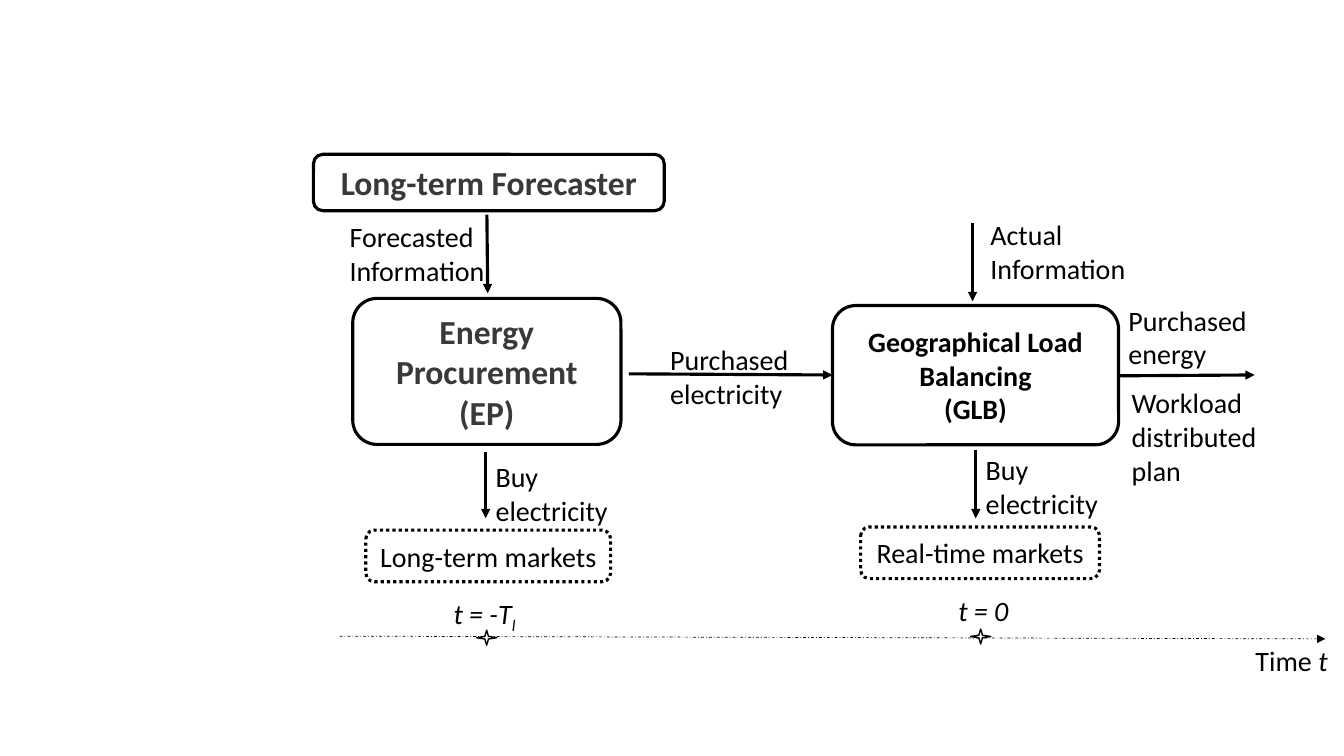
from lxml import etree
from pptx import Presentation, util as u
from pptx.dml.color import RGBColor
from pptx.enum import dml, shapes, text
from pptx.oxml.ns import qn

BLACK, GREY, WHITE = "000000", "3B3838", "FFFFFF"
DOT, DASH_DOT = dml.MSO_LINE.ROUND_DOT, dml.MSO_LINE.DASH_DOT

# Places are in centimetres: left, top, width, height
HEADING = dict(size=24, color=GREY, bold=True)
BOXES = [
    ("Energy Procurement (EP)", (8.89, 7.52, 6.76, 3.68), None, HEADING),
    ("Geographical Load Balancing\n(GLB)", (20.98, 7.7, 7.21, 3.51), None, dict(bold=True)),
    ("Long-term markets", (9.22, 13.36, 6.17, 1.3), DOT, {}),
    ("Real-time markets", (21.69, 13.28, 6.02, 1.3), DOT, {}),
    ("Long-term Forecaster", (7.9, 3.89, 8.84, 1.42), None, HEADING),
]
# Text, place, wraps
LABELS = [
    ("Purchased energy", (28.19, 7.52, 3.71, 1.96), True),
    ("Workload \ndistributed \nplan", (28.27, 9.6, 4.62, 2.82), True),
    ("Buy electricity", (12.24, 11.46, 3.35, 1.96), True),
    ("Buy electricity", (24.59, 11.28, 3.35, 1.96), True),
    ("Purchased \nelectricity", (16.64, 8.51, 3.68, 1.96), False),
    ("Actual\nInformation", (24.71, 5.36, 3.94, 1.96), False),
    ("Forecasted\nInformation", (8.56, 5.41, 3.94, 1.96), False),
]
# Runs, place: each run is its text, italic, subscript
TIMES = [
    ([("Time ", False, False), ("t", True, False)], (31.39, 16.1, 2.36, 1.12)),
    ([("t = -T", True, False), ("l ", True, True)], (11.18, 14.91, 2.26, 1.12)),
    ([("t = 0 ", True, False)], (23.9, 14.83, 1.96, 1.12)),
]
# From x, y, to x, y
FLOWS = [
    (12.24, 11.38, 12.24, 13.06),
    (24.59, 11.35, 24.59, 13.06),
    (15.85, 9.42, 20.98, 9.45),
    (28.19, 9.47, 31.62, 9.45),
    (12.27, 5.41, 12.29, 7.39),
    (24.51, 5.61, 24.51, 7.59),
]
TIME_AXIS = (8.56, 16.03, 33.4, 16.1)
MOMENTS = [(12.01, 15.88, 0.51, 0.38), (24.46, 15.85, 0.51, 0.38)]


def rgb(color):
    """Turn a hex string into a colour."""
    return RGBColor.from_string(color)


def cm(values):
    """Turn numbers into centimetre lengths."""
    return [u.Cm(v) for v in values]


def set_line(line, width, dash=None):
    """Format an outline or connector line."""
    line.color.rgb = rgb(BLACK)
    line.width = u.Pt(width)
    if dash:
        line.dash_style = dash


def add_run(p, content, size=20, color=BLACK, bold=False, italic=False, sub=False):
    """Add one formatted run to a paragraph."""
    r = p.add_run()
    r.text = content
    f = r.font
    f.name, f.size, f.bold, f.italic = "Calibri", u.Pt(size), bold, italic
    f.color.rgb = rgb(color)
    if sub:
        r._r.get_or_add_rPr().set("baseline", "-25000")


def write(tf, content, align=text.PP_ALIGN.LEFT, **fmt):
    """Write one paragraph for each line of the content."""
    for i, line in enumerate(content.split("\n")):
        p = tf.add_paragraph() if i else tf.paragraphs[0]
        p.alignment = align
        add_run(p, line, **fmt)


def add_figure(kind, place, width, fill=None, dash=None):
    """Add a preset shape with a black outline."""
    sp = s.shapes.add_shape(kind, *cm(place))
    sp.shadow.inherit = False
    if fill:
        sp.fill.solid()
        sp.fill.fore_color.rgb = rgb(fill)
    else:
        sp.fill.background()
    set_line(sp.line, width, dash)
    return sp


def add_label(place, wrap):
    """Add a text box that grows with its text and return its frame."""
    tf = s.shapes.add_textbox(*cm(place)).text_frame
    tf.word_wrap = wrap
    tf.auto_size = text.MSO_AUTO_SIZE.SHAPE_TO_FIT_TEXT
    return tf


def add_arrow(ends, width, dash=None):
    """Add a straight line with a triangle at its end."""
    c = s.shapes.add_connector(shapes.MSO_CONNECTOR.STRAIGHT, *cm(ends))
    set_line(c.line, width, dash)
    etree.SubElement(c.line._get_or_add_ln(), qn("a:tailEnd"), type="triangle")
    etree.SubElement(c._element.spPr, qn("a:effectLst"))


prs = Presentation()
prs.slide_width, prs.slide_height = cm((33.87, 19.05))
s = prs.slides.add_slide(prs.slide_layouts[6])

for content, place, dash, fmt in BOXES:
    tf = add_figure(shapes.MSO_SHAPE.ROUNDED_RECTANGLE, place, 2.25, dash=dash).text_frame
    tf.word_wrap = True
    tf.vertical_anchor = text.MSO_ANCHOR.MIDDLE
    write(tf, content, text.PP_ALIGN.CENTER, **fmt)

for content, place, wrap in LABELS:
    write(add_label(place, wrap), content)

for ends in FLOWS:
    add_arrow(ends, 2.25)
add_arrow(TIME_AXIS, 0.5, DASH_DOT)

for runs, place in TIMES:
    p = add_label(place, False).paragraphs[0]
    for content, italic, sub in runs:
        add_run(p, content, italic=italic, sub=sub)

for place in MOMENTS:
    add_figure(shapes.MSO_SHAPE.STAR_4_POINT, place, 1, fill=WHITE)

prs.save("out.pptx")
